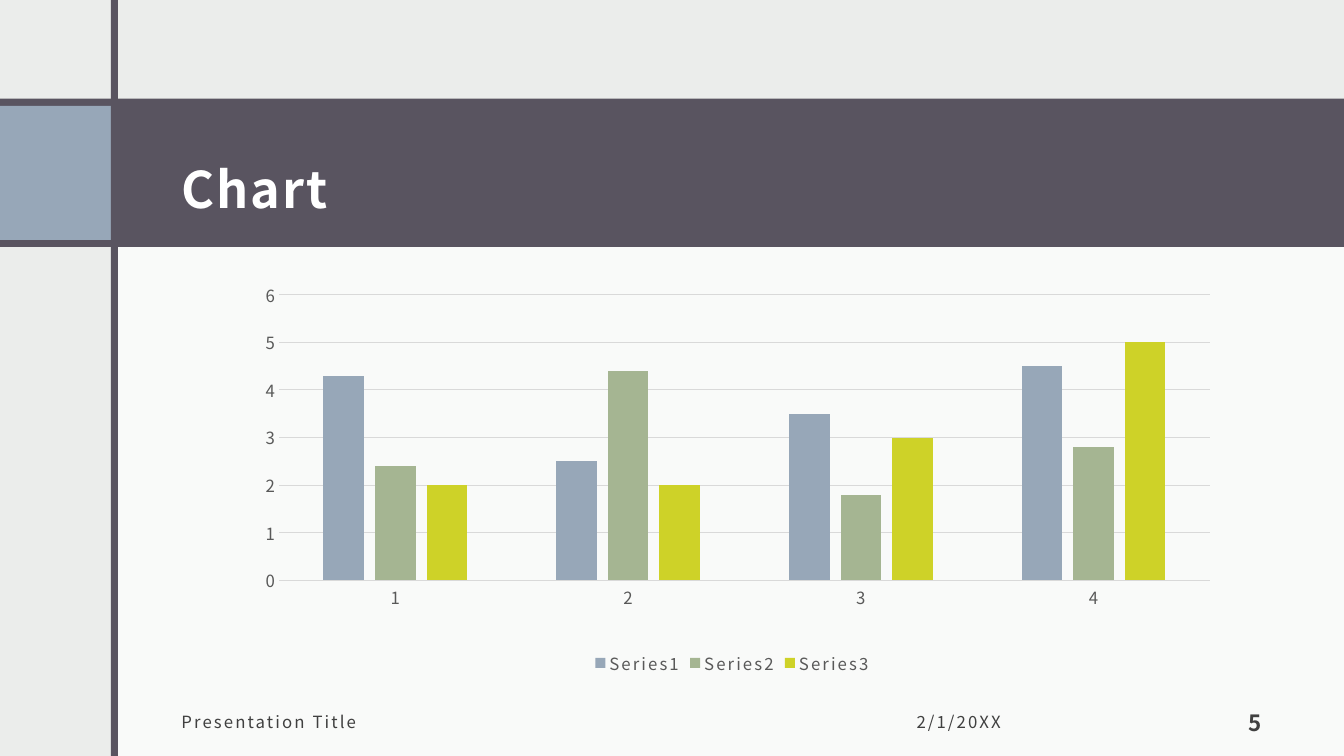
import pptx
import pptx.chart.data
import pptx.dml.color
import pptx.enum.chart
import pptx.enum.shapes
import pptx.enum.text
import pptx.oxml
import pptx.oxml.ns
import pptx.util
from pptx.util import Inches

FONT = "Noto Sans CJK JP"
HUES = {
    "page": "EBEDEB", "white": "FFFFFF", "plum": "595460", "blue": "97A7B8",
    "green": "A5B592", "lime": "CED228", "ink": "404040", "gray": "595959",
    "grid": "D9D9D9",
}
WIDE, HIGH = 13.33, 7.5
PANELS = [
    ("white", 1.14, 2.33, 12.19, 5.17, 75),
    ("plum", 0, 0.98, WIDE, 1.47, 100),
    ("blue", 0, 1.05, 1.1, 1.33, 100),
    ("plum", 1.1, 0, 0.07, HIGH, 100),
]
TEXTS = [
    ("Chart", 1.68, 1.14, 10.95, 1.13, 36, "white", True, "MIDDLE", "LEFT", 1.5),
    ("Presentation Title", 1.68, 6.9, 6.27, 0.5, 12, "ink", False, "MIDDLE", "LEFT", 1),
    ("2/1/20XX", 8.97, 6.9, 2.35, 0.5, 12, "ink", False, "MIDDLE", "LEFT", 1),
    ("5", 11.56, 6.9, 1.07, 0.5, 16, "ink", True, "BOTTOM", "RIGHT", 1),
]
CATS = ["1", "2", "3", "4"]
SERIES = [
    ("Series1", "blue", (4.3, 2.5, 3.5, 4.5)),
    ("Series2", "green", (2.4, 4.4, 1.8, 2.8)),
    ("Series3", "lime", (2, 2, 3, 5)),
]
PLOT = {"x": 0.048, "y": 0.029, "w": 0.929, "h": 0.721}


def hue(name):
    return pptx.dml.color.RGBColor.from_string(HUES[name])


def paint(fill, name):
    fill.solid()
    fill.fore_color.rgb = hue(name)


def style(font, size, name, bold=False):
    font.name = FONT
    font.size = pptx.util.Pt(size)
    font.bold = bold
    font.color.rgb = hue(name)


def rule(line):
    line.color.rgb = hue("grid")
    line.width = pptx.util.Pt(0.75)


def add_panel(slide, name, x, y, w, h, alpha):
    kind = pptx.enum.shapes.MSO_SHAPE.RECTANGLE
    panel = slide.shapes.add_shape(kind, *map(Inches, (x, y, w, h)))
    panel.shadow.inherit = False
    paint(panel.fill, name)
    panel.line.fill.background()
    if alpha < 100:
        tint = panel.element.spPr.find(".//" + pptx.oxml.ns.qn("a:srgbClr"))
        node = pptx.oxml.parse_xml(f'<a:alpha {pptx.oxml.ns.nsdecls("a")} val="{alpha * 1000}"/>')
        tint.append(node)


def add_text(slide, text, x, y, w, h, size, name, bold, anchor, align, lead):
    frame = slide.shapes.add_textbox(*map(Inches, (x, y, w, h))).text_frame
    frame.word_wrap = True
    frame.vertical_anchor = getattr(pptx.enum.text.MSO_ANCHOR, anchor)
    frame.margin_left = frame.margin_right = frame.margin_top = Inches(0.12)
    frame.margin_bottom = Inches(0.1)
    para = frame.paragraphs[0]
    para.alignment = getattr(pptx.enum.text.PP_ALIGN, align)
    para.line_spacing = lead
    run = para.add_run()
    run.text = text
    style(run.font, size, name, bold)
    run._r.get_or_add_rPr().set("spc", "150")


def add_chart(slide):
    data = pptx.chart.data.CategoryChartData()
    data.categories = CATS
    for name, tone, vals in SERIES:
        data.add_series(name, vals)
    enum = pptx.enum.chart
    box = map(Inches, (2.29, 2.8, 9.94, 3.94))
    chart = slide.shapes.add_chart(enum.XL_CHART_TYPE.COLUMN_CLUSTERED, *box, data).chart
    style(chart.font, 12, "gray")
    chart.has_title = False

    plot = chart.plots[0]
    plot.gap_width, plot.overlap = 219, -27
    plot.vary_by_categories = False
    for bars, (name, tone, vals) in zip(plot.series, SERIES):
        paint(bars.format.fill, tone)

    for axis in (chart.category_axis, chart.value_axis):
        axis.major_tick_mark = axis.minor_tick_mark = enum.XL_TICK_MARK.NONE
        style(axis.tick_labels.font, 12, "gray")
    rule(chart.category_axis.format.line)
    scale = chart.value_axis
    scale.minimum_scale, scale.maximum_scale, scale.major_unit = 0, 6, 1
    scale.format.line.fill.background()
    rule(scale.major_gridlines.format.line)

    chart.has_legend = True
    legend = chart.legend
    legend.position = enum.XL_LEGEND_POSITION.BOTTOM
    legend.include_in_layout = False
    style(legend.font, 12, "gray")
    legend._element.find(".//" + pptx.oxml.ns.qn("a:defRPr")).set("spc", "150")

    area = chart.element.find(".//" + pptx.oxml.ns.qn("c:plotArea"))
    for old in area.findall(pptx.oxml.ns.qn("c:layout")):
        area.remove(old)
    spots = "".join(f'<c:{key} val="{val}"/>' for key, val in PLOT.items())
    area.insert(0, pptx.oxml.parse_xml(
        f'<c:layout {pptx.oxml.ns.nsdecls("c")}><c:manualLayout>'
        '<c:layoutTarget val="inner"/><c:xMode val="edge"/><c:yMode val="edge"/>'
        f'{spots}</c:manualLayout></c:layout>'))


def main():
    deck = pptx.Presentation()
    deck.slide_width, deck.slide_height = Inches(WIDE), Inches(HIGH)
    slide = deck.slides.add_slide(deck.slide_layouts[6])
    paint(slide.background.fill, "page")
    for panel in PANELS:
        add_panel(slide, *panel)
    for text in TEXTS:
        add_text(slide, *text)
    add_chart(slide)
    deck.save("out.pptx")


if __name__ == "__main__":
    main()
